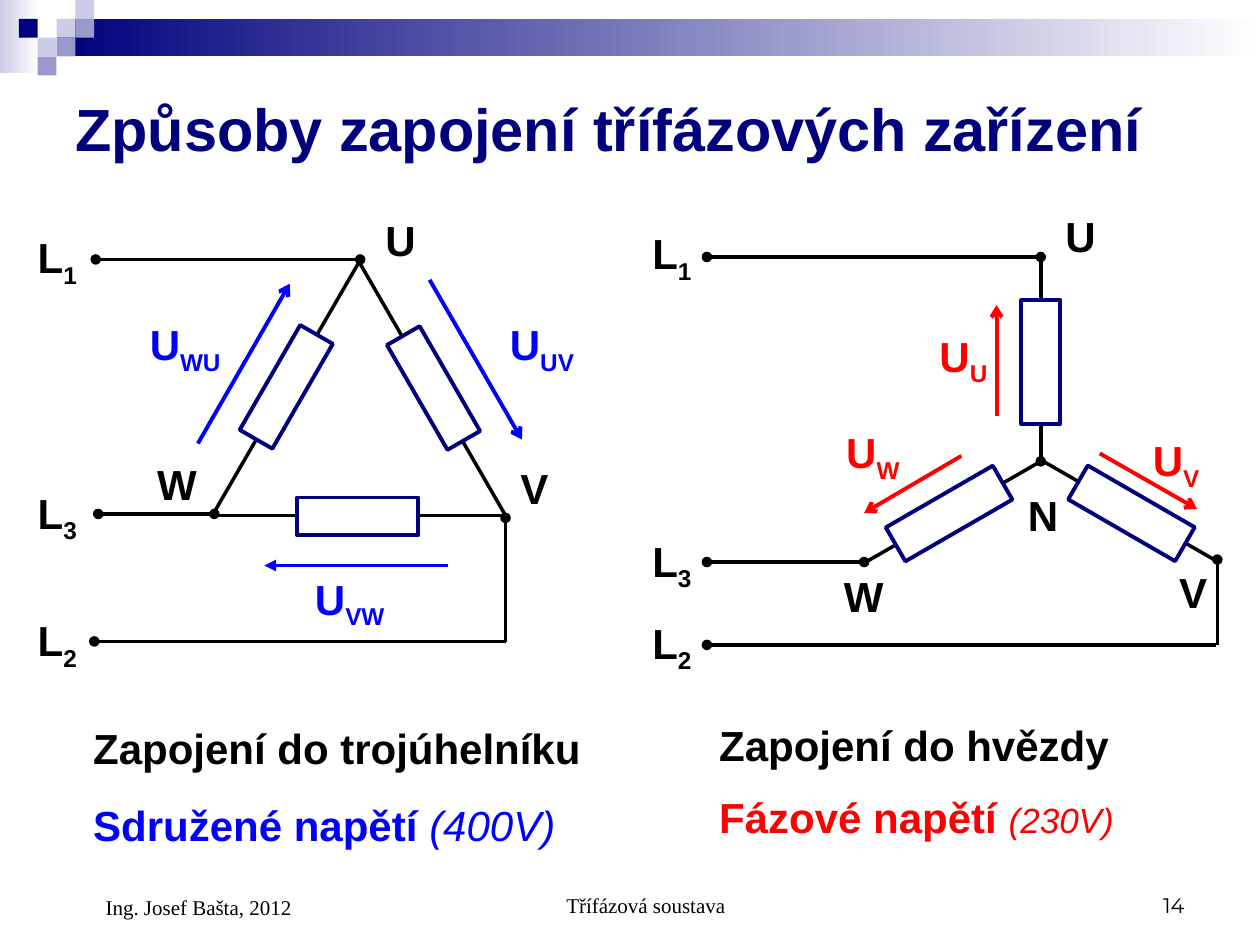
from lxml.etree import SubElement
from pptx import Presentation
from pptx.dml.color import RGBColor
from pptx.enum.shapes import MSO_CONNECTOR, MSO_SHAPE
from pptx.enum.text import MSO_ANCHOR, PP_ALIGN
from pptx.oxml.ns import qn
from pptx.util import Cm, Pt

NAVY, LAVENDER, VIOLET = "00007D", "CCCCE6", "9999CC"
BLACK, WHITE, BLUE, RED = "000000", "FFFFFF", "0000FF", "FF0000"
BOLD = {"name": "Arial", "size": Pt(24), "bold": True}
ITALIC = {"name": "Arial", "size": Pt(24), "bold": False, "italic": True}
SERIF = {"name": "Times New Roman", "size": Pt(12)}

presentation = Presentation()
presentation.slide_width, presentation.slide_height = Cm(25.4), Cm(19.05)
slide = presentation.slides.add_slide(presentation.slide_layouts[6])
shapes = slide.shapes


def write(box, paragraphs, anchor=MSO_ANCHOR.TOP, align=PP_ALIGN.LEFT, gap=0, indent=0):
    """Add a text box; each paragraph is a list of (text, color, format, baseline)."""
    frame = shapes.add_textbox(*map(Cm, box)).text_frame
    frame.word_wrap = True
    frame.vertical_anchor = anchor
    for index, runs in enumerate(paragraphs):
        paragraph = frame.add_paragraph() if index else frame.paragraphs[0]
        paragraph.alignment = align
        if index:
            paragraph.space_before = Pt(gap)
        if indent:
            paragraph._p.get_or_add_pPr().set("marL", str(int(Cm(indent))))
        for text, color, style, baseline in runs:
            run = paragraph.add_run()
            run.text = text
            for key, value in style.items():
                setattr(run.font, key, value)
            run.font.color.rgb = RGBColor.from_string(color)
            if baseline:
                run._r.get_or_add_rPr().set("baseline", str(baseline * 1000))


def draw_line(ends, color, width, head=None, tail=None):
    connector = shapes.add_connector(MSO_CONNECTOR.STRAIGHT, *map(Cm, ends))
    connector.line.color.rgb = RGBColor.from_string(color)
    connector.line.width = Pt(width)
    properties = connector._element.spPr
    outline = properties.find(qn("a:ln"))
    for tag, kind in (("a:headEnd", head), ("a:tailEnd", tail)):
        if kind:
            SubElement(outline, qn(tag), type=kind)
    SubElement(properties, qn("a:effectLst"))


# Header decoration: two fading bands, then squares on a grid
for box, colors in (
    ((0, 0, 0.79, 1.47), (LAVENDER, WHITE)),
    ((1.14, 0.38, 24.26, 0.76), (NAVY, WHITE)),
):
    band = shapes.add_shape(MSO_SHAPE.RECTANGLE, *map(Cm, box))
    band.shadow.inherit = False
    band.line.fill.background()
    band.fill.gradient()
    band.fill.gradient_angle = 0
    for stop, color in zip(band.fill.gradient_stops, colors):
        stop.color.rgb = RGBColor.from_string(color)

SQUARE = 0.38
for column, row, color in (
    (3, 1, LAVENDER), (4, 0, LAVENDER), (4, 1, VIOLET), (2, 2, LAVENDER),
    (1, 1, NAVY), (3, 2, VIOLET), (2, 3, VIOLET),
):
    square = shapes.add_shape(
        MSO_SHAPE.RECTANGLE, Cm(column * SQUARE), Cm(row * SQUARE), Cm(SQUARE), Cm(SQUARE))
    square.shadow.inherit = False
    square.line.fill.background()
    square.fill.solid()
    square.fill.fore_color.rgb = RGBColor.from_string(color)

write((1.27, 1.27, 22.86, 2.62),
      [[("Způsoby zapojení třífázových zařízení", NAVY, {**BOLD, "size": Pt(34)}, 0)]],
      MSO_ANCHOR.MIDDLE)

# Captions
for box, heading, voltage, value, color, size, gap in (
    ((1.63, 14.45, 10.41, 2.82), "Zapojení do trojúhelníku", "Sdružené napětí ", "(400V)", BLUE, 24, 15),
    ((14.25, 14.38, 9.07, 2.74), "Zapojení do hvězdy", "Fázové napětí ", "(230V)", RED, 20, 12.5),
):
    write(box, [[(heading, BLACK, BOLD, 0)],
                [(voltage, color, BOLD, 0), (value, color, {**ITALIC, "size": Pt(size)}, 0)]],
          gap=gap)

# Wires of the delta, then of the star
for ends, head, tail in (
    ((4.27, 10.39, 10.21, 10.39), None, None),
    ((10.19, 10.39, 7.21, 5.23), None, None),
    ((7.24, 5.28, 4.27, 10.41), None, None),
    ((1.93, 5.23, 7.26, 5.23), "oval", "oval"),
    ((1.98, 10.36, 4.32, 10.36), "oval", "oval"),
    ((1.9, 12.93, 10.21, 12.93), "oval", None),
    ((10.19, 10.44, 10.19, 12.95), "oval", None),
    ((14.25, 5.18, 20.98, 5.18), "oval", "oval"),
    ((14.25, 11.33, 17.42, 11.33), "oval", "oval"),
    ((14.25, 13, 24.51, 13), "oval", None),
    ((20.98, 5.21, 20.98, 9.3), None, "oval"),
    ((20.98, 9.27, 24.56, 11.33), None, None),
    ((20.98, 9.3, 17.42, 11.35), None, None),
    ((24.54, 11.28, 24.54, 13), "oval", None),
):
    draw_line(ends, BLACK, 2, head, tail)

# Resistors, placed by their centres
for x, y, length, thickness, angle in (
    (7.21, 10.41, 2.44, 0.76, 0),
    (8.74, 7.82, 2.44, 0.76, 240),
    (5.77, 7.8, 2.44, 0.76, 120),
    (20.98, 7.3, 2.49, 0.79, 90),
    (22.81, 10.35, 2.49, 0.79, 30),
    (19.13, 10.35, 2.49, 0.79, 150),
):
    resistor = shapes.add_shape(
        MSO_SHAPE.RECTANGLE, Cm(x - length / 2), Cm(y - thickness / 2), Cm(length), Cm(thickness))
    resistor.shadow.inherit = False
    resistor.rotation = angle
    resistor.fill.solid()
    resistor.fill.fore_color.rgb = RGBColor.from_string(WHITE)
    resistor.line.color.rgb = RGBColor.from_string(NAVY)
    resistor.line.width = Pt(2.25)

# Voltage arrows
for ends, color, tip in (
    ((9.04, 11.4, 5.33, 11.4), BLUE, "triangle"),
    ((3.99, 8.94, 5.84, 5.72), BLUE, "arrow"),
    ((8.66, 5.64, 10.52, 8.86), BLUE, "arrow"),
    ((20.09, 8.38, 20.09, 6.15), RED, "arrow"),
    ((22.17, 9.14, 24.13, 10.26), RED, "arrow"),
    ((19.38, 9.19, 17.42, 10.34), RED, "arrow"),
):
    draw_line(ends, color, 2.25, tail=tip)

# Node, phase and voltage labels
for left, top, width, letter, subscript, color in (
    (7.52, 4.19, 1.17, "U", "", BLACK),
    (10.24, 9.19, 1.17, "V", "", BLACK),
    (2.92, 9.12, 1.42, "W", "", BLACK),
    (0.51, 4.55, 1.42, "L", "1", BLACK),
    (0.51, 12.27, 1.42, "L", "2", BLACK),
    (0.51, 9.7, 1.42, "L", "3", BLACK),
    (6.1, 11.43, 2.31, "U", "VW", BLUE),
    (10.03, 6.3, 2.31, "U", "UV", BLUE),
    (2.77, 6.3, 2.31, "U", "WU", BLUE),
    (21.23, 4.11, 1.22, "U", "", BLACK),
    (23.52, 11.3, 1.19, "V", "", BLACK),
    (16.76, 11.38, 1.45, "W", "", BLACK),
    (20.47, 9.75, 1.19, "N", "", BLACK),
    (12.9, 4.47, 1.45, "L", "1", BLACK),
    (12.9, 12.32, 1.45, "L", "2", BLACK),
    (12.9, 10.67, 1.45, "L", "3", BLACK),
    (18.69, 6.53, 1.68, "U", "U", RED),
    (22.99, 8.64, 1.65, "U", "V", RED),
    (16.81, 8.48, 1.93, "U", "W", RED),
):
    runs = [(letter, color, BOLD, 0)]
    if subscript:
        runs.append((subscript, color, BOLD, -25))
    write((left, top, width, 1.42 if subscript else 1.27), [runs])

# Footer
for box, text, style, align, indent in (
    ((8.69, 17.35, 8.05, 1.27), "Třífázová soustava", SERIF, PP_ALIGN.CENTER, 0.61),
    ((18.21, 17.35, 5.92, 1.27), "14", {**SERIF, "name": "Montserrat"}, PP_ALIGN.RIGHT, 0),
    ((1.27, 17.35, 5.92, 1.32), "Ing. Josef Bašta, 2012", SERIF, PP_ALIGN.LEFT, 0.61),
):
    write(box, [[(text, BLACK, style, 0)]], MSO_ANCHOR.BOTTOM, align, indent=indent)

presentation.save("out.pptx")
